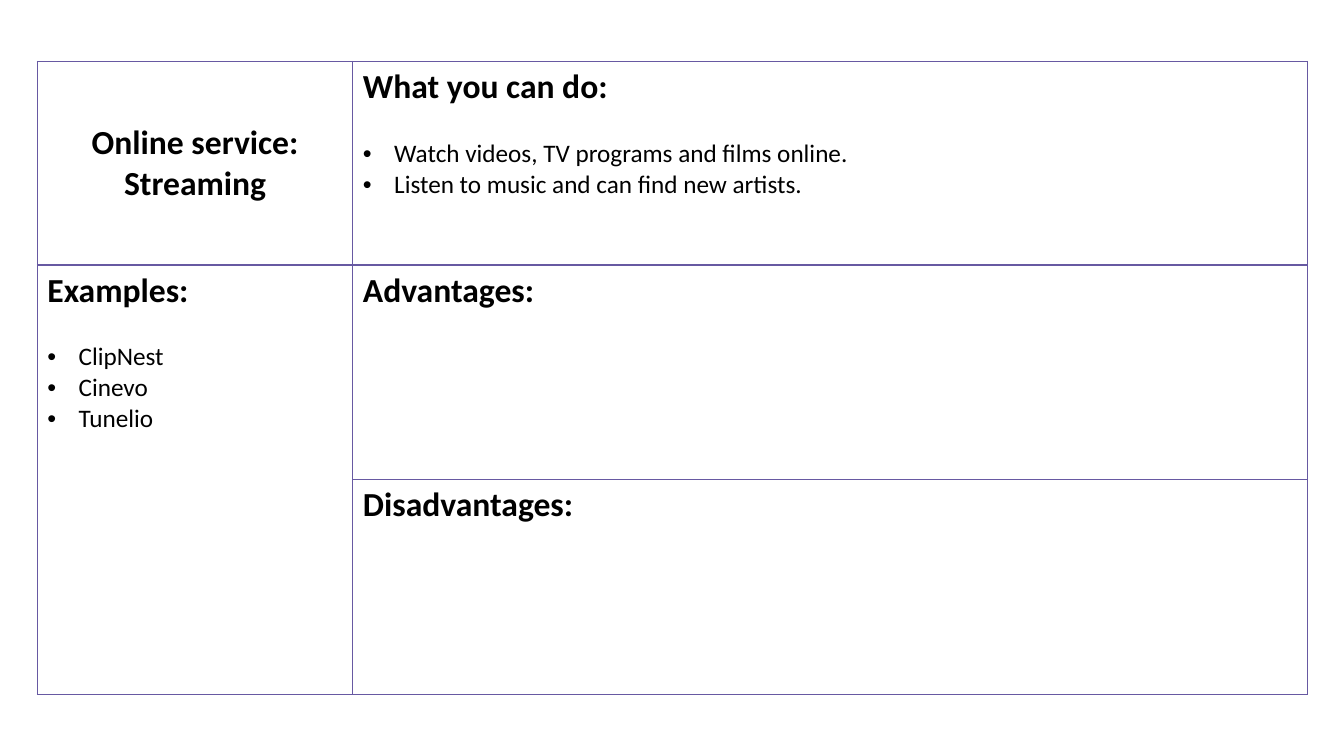
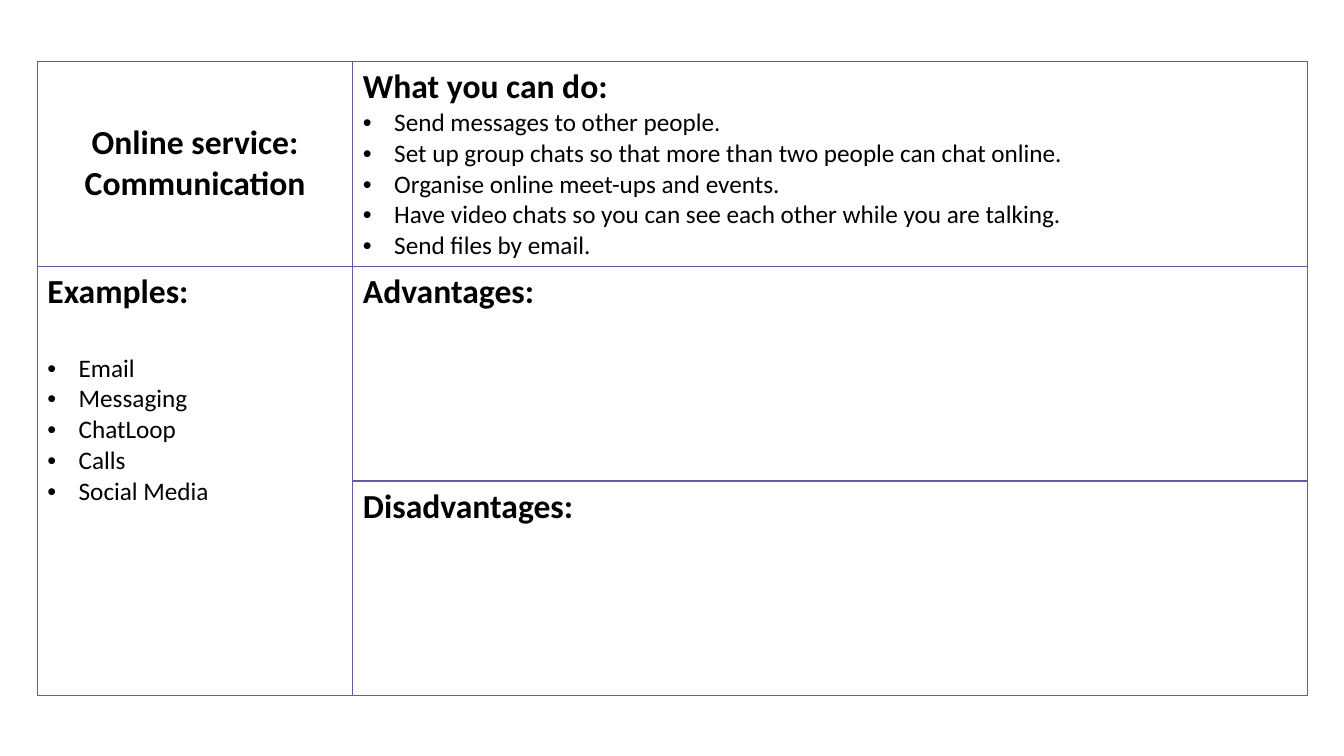
"""Build two worksheet slides that compare online services."""
from dataclasses import dataclass

from lxml import etree
from pptx import Presentation
from pptx.dml.color import RGBColor
from pptx.enum.text import MSO_ANCHOR, PP_ALIGN
from pptx.oxml.ns import qn
from pptx.util import Inches, Pt

CENTER, LEFT = PP_ALIGN.CENTER, PP_ALIGN.LEFT
MIDDLE, TOP = MSO_ANCHOR.MIDDLE, MSO_ANCHOR.TOP


@dataclass(frozen=True)
class Theme:
    font: str = "Calibri"
    ink: str = "000000"
    border: str = "6759A2"
    border_width: int = 1
    heading_size: int = 24
    bullet_size: int = 18
    bullet_indent: float = 0.31


THEME = Theme()

LEFT_SHARE, TOP_SHARE = 2.78, 8.13
COLUMN_SHARES = [23.48, 71.04]
ROW_SHARES = [26.93, 28.4, 28.4]

SERVICES = [
    {
        "name": "Streaming",
        "uses": [
            "Watch videos, TV programs and films online.",
            "Listen to music and can find new artists.",
        ],
        "uses_gap": 22,
        "examples": ["ClipNest", "Cinevo", "Tunelio"],
        "examples_gap": 22,
    },
    {
        "name": "Communication",
        "uses": [
            "Send messages to other people.",
            "Set up group chats so that more than two people can chat online.",
            "Organise online meet-ups and events.",
            "Have video chats so you can see each other while you are talking.",
            "Send files by email.",
        ],
        "uses_gap": 0,
        "examples": ["Email", "Messaging", "ChatLoop", "Calls", "Social Media"],
        "examples_gap": 29,
    },
]


def style_cell(cell):
    properties = cell._tc.get_or_add_tcPr()
    for side in ("a:lnL", "a:lnR", "a:lnT", "a:lnB"):
        line = etree.SubElement(properties, qn(side), w=str(Pt(THEME.border_width)))
        fill = etree.SubElement(line, qn("a:solidFill"))
        etree.SubElement(fill, qn("a:srgbClr"), val=THEME.border)
    cell.fill.background()


def write_cell(cell, headings, bullets=(), gap=0, align=LEFT, anchor=TOP):
    cell.vertical_anchor = anchor
    frame = cell.text_frame
    for index, text in enumerate([*headings, *bullets]):
        para = frame.add_paragraph() if index else frame.paragraphs[0]
        para.alignment = align
        is_bullet = index >= len(headings)
        if is_bullet:
            indent = Inches(THEME.bullet_indent)
            settings = para._p.get_or_add_pPr()
            settings.set("marL", str(indent))
            settings.set("indent", str(-indent))
            etree.SubElement(settings, qn("a:buFont"), typeface="Arial")
            etree.SubElement(settings, qn("a:buChar"), char="•")
        if gap and index == len(headings):
            para.space_before = Pt(gap)
        span = para.add_run()
        span.text = text
        span.font.name = THEME.font
        span.font.size = Pt(THEME.bullet_size if is_bullet else THEME.heading_size)
        span.font.bold = not is_bullet
        span.font.color.rgb = RGBColor.from_string(THEME.ink)


deck = Presentation()
deck.slide_width, deck.slide_height = Inches(13.33), Inches(7.5)
across, down = deck.slide_width / 100, deck.slide_height / 100

for service in SERVICES:
    page = deck.slides.add_slide(deck.slide_layouts[6])
    table = page.shapes.add_table(
        len(ROW_SHARES), len(COLUMN_SHARES),
        int(LEFT_SHARE * across), int(TOP_SHARE * down),
        int(sum(COLUMN_SHARES) * across), int(sum(ROW_SHARES) * down),
    ).table
    table.first_row = table.horz_banding = False
    for column, share in zip(table.columns, COLUMN_SHARES):
        column.width = int(share * across)
    for row, share in zip(table.rows, ROW_SHARES):
        row.height = int(share * down)
    for cell in table.iter_cells():
        style_cell(cell)
    table.cell(1, 0).merge(table.cell(2, 0))

    write_cell(table.cell(0, 0), ["Online service:", service["name"]],
               align=CENTER, anchor=MIDDLE)
    write_cell(table.cell(0, 1), ["What you can do:"],
               service["uses"], service["uses_gap"])
    write_cell(table.cell(1, 0), ["Examples:"],
               service["examples"], service["examples_gap"])
    write_cell(table.cell(1, 1), ["Advantages:"])
    write_cell(table.cell(2, 1), ["Disadvantages:"])

deck.save("out.pptx")
